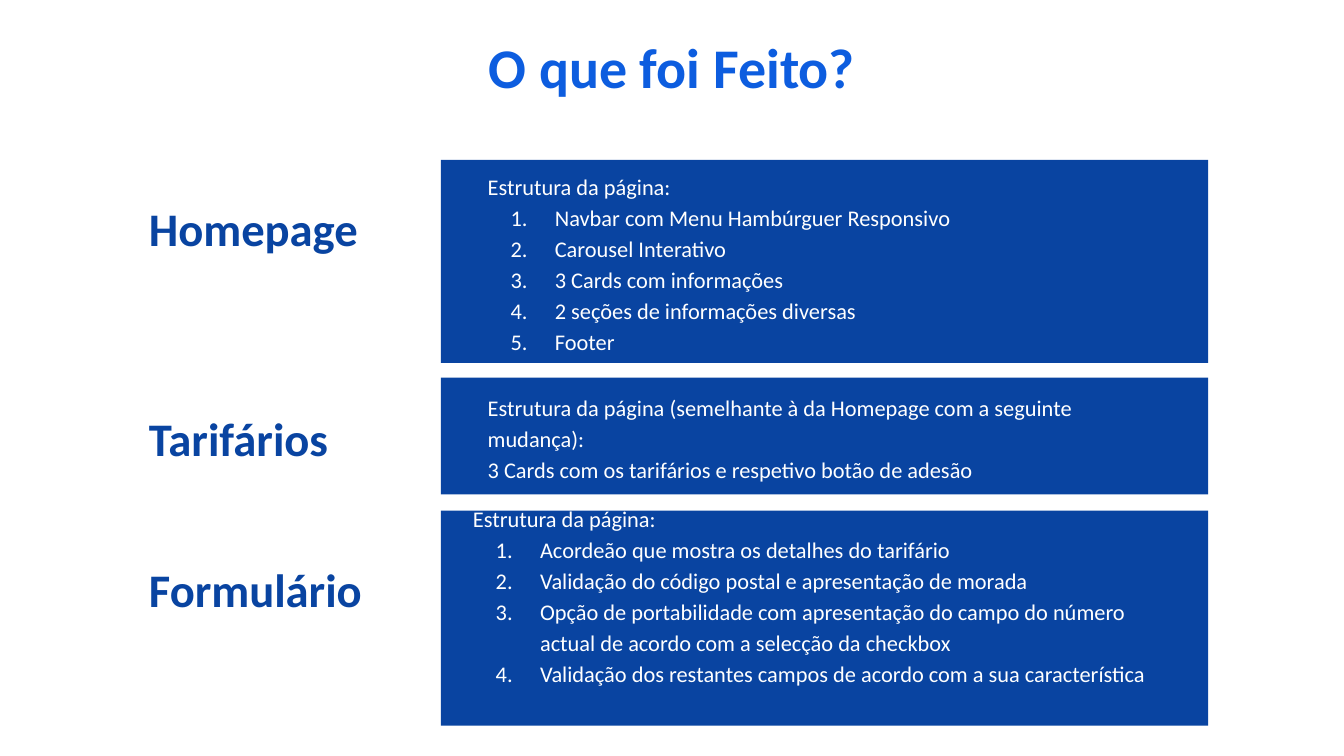
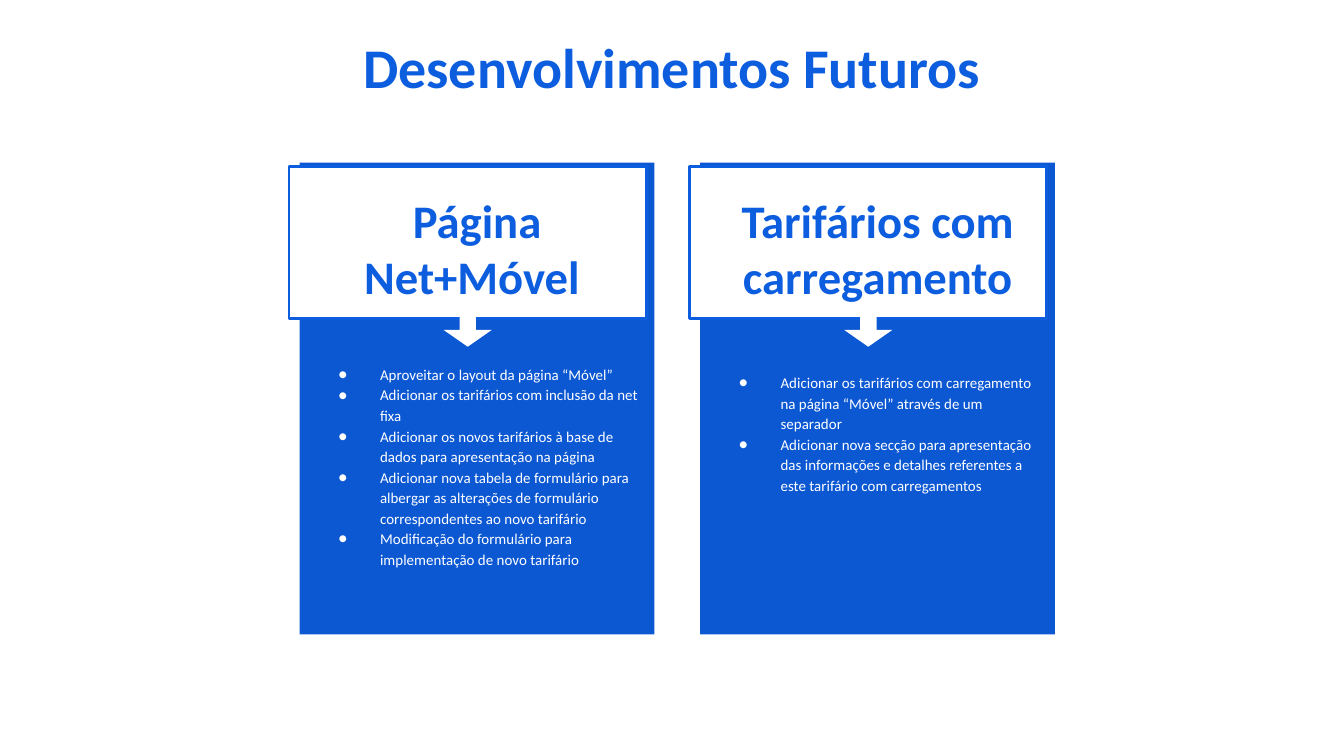
"""Build two slides: the work done on each page and the future developments."""
from dataclasses import dataclass

from lxml import etree
from pptx import Presentation
from pptx.dml.color import RGBColor
from pptx.enum.shapes import MSO_SHAPE
from pptx.enum.text import MSO_ANCHOR, PP_ALIGN
from pptx.oxml.ns import qn
from pptx.slide import Slide
from pptx.util import Inches, Pt

RECTANGLE, ARROW = MSO_SHAPE.RECTANGLE, MSO_SHAPE.RIGHT_ARROW
TOP, MIDDLE = MSO_ANCHOR.TOP, MSO_ANCHOR.MIDDLE
LEFT, CENTER = PP_ALIGN.LEFT, PP_ALIGN.CENTER

FONT = "Calibri"
COLORS = {
    "title": "0D5DDF",
    "band": "0944A1",
    "card": "0C58D3",
    "white": "FFFFFF",
}
NUMBERED = ("buAutoNum", {"type": "arabicPeriod"})
DOTTED = ("buChar", {"char": "●"})


@dataclass(frozen=True)
class Box:
    left: float
    top: float
    width: float
    height: float

    def lengths(self) -> list[int]:
        return [Inches(v) for v in (self.left, self.top, self.width, self.height)]


@dataclass(frozen=True)
class TextStyle:
    size: float
    color: str
    bold: bool = False
    align: int = LEFT
    anchor: int = MIDDLE
    spacing: float = 1.0
    inset_x: float = 0.1
    inset_y: float = 0.05
    hanging: float = 0.33
    bullet: tuple[str, dict[str, str]] = NUMBERED


TITLE = TextStyle(30, "title", bold=True, align=CENTER, inset_x=0)
PAGE_NAME = TextStyle(25, "band", bold=True, spacing=0.9)
PAGE_DETAILS = TextStyle(12, "white", spacing=1.15)
CARD_HEADING = TextStyle(25, "title", bold=True, align=CENTER, anchor=TOP, inset_y=0.1)
CARD_DETAILS = TextStyle(8, "white", anchor=TOP, spacing=1.15, inset_y=0.1,
                         hanging=0.31, bullet=DOTTED)


@dataclass(frozen=True)
class PageRow:
    name: str
    name_top: float
    name_height: float
    band_top: float
    band_height: float
    details: Box
    intro: list[str]
    steps: list[str]
    bottom_space: float = 0


@dataclass(frozen=True)
class FutureCard:
    heading: str
    details_top: float
    details_height: float
    details: list[str]


PAGE_ROWS = [
    PageRow("Homepage", 1.26, 0.92, 1.19, 1.51, Box(3.53, 1.26, 5.21, 1.38),
            ["Estrutura da página:"],
            ["Navbar com Menu Hambúrguer Responsivo",
             "Carousel Interativo",
             "3 Cards com informações",
             "2 seções de informações diversas",
             "Footer"]),
    PageRow("Formulário", 3.88, 1.05, 3.8, 1.6, Box(3.42, 3.94, 5.21, 1.42),
            ["Estrutura da página:"],
            ["Acordeão que mostra os detalhes do tarifário",
             "Validação do código postal e apresentação de morada",
             "Opção de portabilidade com apresentação do campo do número "
             "actual de acordo com a selecção da checkbox",
             "Validação dos restantes campos de acordo com a sua característica"],
            bottom_space=0.46),
    PageRow("Tarifários", 2.88, 0.81, 2.81, 0.87, Box(3.53, 2.9, 5.21, 0.7),
            ["Estrutura da página (semelhante à da Homepage com a seguinte mudança):",
             "3 Cards com os tarifários e respetivo botão de adesão"],
            []),
]

FUTURE_CARDS = [
    FutureCard("Página Net+Móvel ", 2.6, 2.12,
               ["Aproveitar o layout da página “Móvel”",
                "Adicionar os tarifários com inclusão da net fixa",
                "Adicionar os novos tarifários à base de dados para apresentação na página",
                "Adicionar nova tabela de formulário para albergar as alterações de "
                "formulário correspondentes ao novo tarifário",
                "Modificação do formulário para implementação de novo tarifário"]),
    FutureCard("Tarifários com carregamento", 2.66, 1.72,
               ["Adicionar os tarifários com carregamento na página “Móvel” através "
                "de um separador",
                "Adicionar nova secção para apresentação das informações e detalhes "
                "referentes a este tarifário com carregamentos"]),
]
FIRST_CARD_LEFT, CARD_STEP = 2.23, 2.98


def rgb(name: str) -> RGBColor:
    return RGBColor.from_string(COLORS[name])


def add_bullet(paragraph, style: TextStyle) -> None:
    properties = paragraph._p.get_or_add_pPr()
    properties.set("marL", str(Inches(0.5)))
    properties.set("indent", str(-Inches(style.hanging)))
    bullet_color = etree.SubElement(properties, qn("a:buClr"))
    etree.SubElement(bullet_color, qn("a:srgbClr"), val=COLORS[style.color])
    etree.SubElement(properties, qn("a:buFont"), typeface=FONT)
    tag, attributes = style.bullet
    etree.SubElement(properties, qn(f"a:{tag}"), attributes)


def add_text(slide: Slide, box: Box, style: TextStyle, plain: list[str],
             listed: list[str] | None = None, bottom_space: float = 0) -> None:
    frame = slide.shapes.add_textbox(*box.lengths()).text_frame
    frame_format = {
        "word_wrap": True,
        "vertical_anchor": style.anchor,
        "margin_left": Inches(style.inset_x),
        "margin_right": Inches(style.inset_x),
        "margin_top": Inches(style.inset_y),
        "margin_bottom": Inches(style.inset_y + bottom_space),
    }
    for attribute, value in frame_format.items():
        setattr(frame, attribute, value)
    font_format = {"name": FONT, "size": Pt(style.size), "bold": style.bold}
    for index, line in enumerate(plain + (listed or [])):
        paragraph = frame.paragraphs[0] if index == 0 else frame.add_paragraph()
        paragraph.alignment = style.align
        paragraph.line_spacing = style.spacing
        if index >= len(plain):
            add_bullet(paragraph, style)
        run = paragraph.add_run()
        run.text = line
        for attribute, value in font_format.items():
            setattr(run.font, attribute, value)
        run.font.color.rgb = rgb(style.color)


def add_block(slide: Slide, box: Box, fill: str, outline: str | None = None,
              kind: int = RECTANGLE):
    block = slide.shapes.add_shape(kind, *box.lengths())
    block.shadow.inherit = False
    block.fill.solid()
    block.fill.fore_color.rgb = rgb(fill)
    if outline:
        block.line.color.rgb = rgb(outline)
        block.line.width = Pt(1.5)
    else:
        block.line.fill.background()
    return block


def add_titled_slide(deck, title: str) -> Slide:
    slide = deck.slides.add_slide(deck.slide_layouts[6])
    add_text(slide, Box(0.5, 0.2, 9, 0.58), TITLE, [title])
    return slide


def draw_page_row(slide: Slide, row: PageRow) -> None:
    add_text(slide, Box(1.01, row.name_top, 2.19, row.name_height), PAGE_NAME, [row.name])
    add_block(slide, Box(3.28, row.band_top, 5.71, row.band_height), "band")
    add_text(slide, row.details, PAGE_DETAILS, row.intro, row.steps, row.bottom_space)


def draw_future_card(slide: Slide, card: FutureCard, left: float) -> None:
    add_block(slide, Box(left, 1.21, 2.64, 3.51), "card")
    add_block(slide, Box(left - 0.08, 1.24, 2.66, 1.13), "white", "title")
    add_text(slide, Box(left + 0.14, 1.33, 2.36, 0.95), CARD_HEADING, [card.heading])
    arrow = add_block(slide, Box(left + 1.14, 2.29, 0.22, 0.36), "white", kind=ARROW)
    arrow.rotation = 90
    arrow.adjustments[0], arrow.adjustments[1] = 0.34, 0.57
    add_text(slide, Box(left, card.details_top, 2.64, card.details_height),
             CARD_DETAILS, [], card.details)


def main() -> None:
    deck = Presentation()
    deck.slide_width = Inches(10)
    deck.slide_height = deck.slide_width * 9 // 16

    done = add_titled_slide(deck, "O que foi Feito?")
    for row in PAGE_ROWS:
        draw_page_row(done, row)

    future = add_titled_slide(deck, "Desenvolvimentos Futuros")
    for index, card in enumerate(FUTURE_CARDS):
        draw_future_card(future, card, FIRST_CARD_LEFT + index * CARD_STEP)

    deck.save("out.pptx")


if __name__ == "__main__":
    main()
